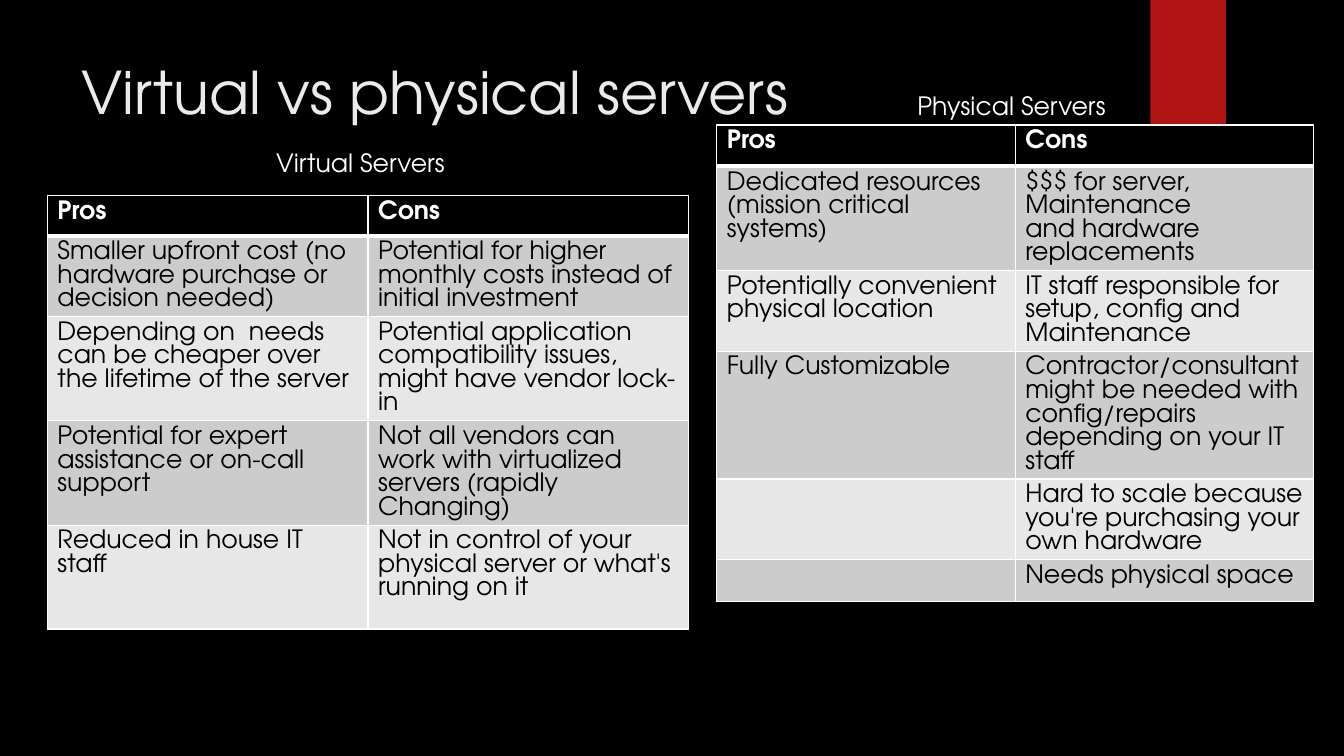
from dataclasses import dataclass

from lxml.etree import SubElement
from pptx import Presentation
from pptx.dml.color import RGBColor
from pptx.enum.shapes import MSO_SHAPE
from pptx.enum.text import MSO_ANCHOR
from pptx.oxml.ns import qn
from pptx.slide import Slide
from pptx.table import _Cell
from pptx.text.text import TextFrame
from pptx.util import Inches, Pt

FONT = "TeX Gyre Adventor"
BLACK, WHITE, RED, TITLE_GREY = "000000", "FFFFFF", "B01513", "EBEBEB"
BAND_FILLS = ("CCCCCC", "E7E7E7")


@dataclass
class Label:
    text: str
    left: float
    top: float
    width: float
    height: float
    size: int = 18
    color: str = WHITE


@dataclass
class Comparison:
    left: float
    top: float
    column_width: float
    row_heights: list[float]
    rows: list[tuple[str, str]]


LABELS = [
    Label("Virtual vs physical servers", 0.71, 0.5, 10.29, 1.53, 42, TITLE_GREY),
    Label("Physical Servers", 9, 0.85, 3, 0.4),
    Label("Virtual Servers", 2.64, 1.41, 3, 0.4),
]

COMPARISONS = [
    Comparison(0.47, 1.94, 3.18, [0.4, 0.71, 0.71, 0.71, 1.03], [
        ("Pros", "Cons"),
        ("Smaller upfront cost (no hardware purchase or decision needed)",
         "Potential for higher monthly costs instead of initial investment"),
        ("Depending on  needs can be cheaper over the lifetime of the server",
         "Potential application compatibility issues, might have vendor lock-in"),
        ("Potential for expert assistance or on-call support",
         "Not all vendors can work with virtualized servers (rapidly Changing)"),
        ("Reduced in house IT staff",
         "Not in control of your physical server or what's running on it"),
    ]),
    Comparison(7.11, 1.24, 2.96, [0.41, 0.71, 0.71, 0.71, 0.71, 0.41], [
        ("Pros", "Cons"),
        ("Dedicated resources (mission critical systems)",
         "$$$ for server, Maintenance\nand hardware replacements"),
        ("Potentially convenient physical location",
         "IT staff responsible for setup, config and Maintenance"),
        ("Fully Customizable",
         "Contractor/consultant might be needed with config/repairs depending on your IT staff"),
        ("", "Hard to scale because you're purchasing your own hardware"),
        ("", "Needs physical space"),
    ]),
]


def rgb(color: str) -> RGBColor:
    return RGBColor.from_string(color)


def write_text(text_frame: TextFrame, text: str, size: int, color: str,
               bold: bool = False) -> None:
    text_frame.text = text
    for paragraph in text_frame.paragraphs:
        for run in paragraph.runs:
            run.font.name = FONT
            run.font.size = Pt(size)
            run.font.bold = bold
            run.font.color.rgb = rgb(color)


def add_label(slide: Slide, label: Label) -> None:
    box = slide.shapes.add_textbox(Inches(label.left), Inches(label.top),
                                   Inches(label.width), Inches(label.height))
    box.text_frame.word_wrap = True
    box.text_frame.vertical_anchor = MSO_ANCHOR.TOP
    write_text(box.text_frame, label.text, label.size, label.color)


def add_borders(cell: _Cell, is_header: bool) -> None:
    widths = {"a:lnL": 1, "a:lnR": 1}
    if is_header:
        widths["a:lnT"] = 1
    widths["a:lnB"] = 3 if is_header else 1
    properties = cell._tc.get_or_add_tcPr()
    for tag, width in widths.items():
        line = SubElement(properties, qn(tag), w=str(Pt(width)))
        fill = SubElement(line, qn("a:solidFill"))
        SubElement(fill, qn("a:srgbClr"), val=WHITE)


def add_comparison(slide: Slide, comparison: Comparison) -> None:
    table = slide.shapes.add_table(
        len(comparison.rows), 2, Inches(comparison.left), Inches(comparison.top),
        Inches(2 * comparison.column_width), Inches(sum(comparison.row_heights))).table
    for column in table.columns:
        column.width = Inches(comparison.column_width)
    for row_index, texts in enumerate(comparison.rows):
        is_header = row_index == 0
        table.rows[row_index].height = Inches(comparison.row_heights[row_index])
        for column_index, text in enumerate(texts):
            cell = table.cell(row_index, column_index)
            write_text(cell.text_frame, text, 18, WHITE if is_header else BLACK, is_header)
            add_borders(cell, is_header)
            cell.fill.solid()
            cell.fill.fore_color.rgb = rgb(BLACK if is_header else BAND_FILLS[(row_index - 1) % 2])


def main() -> None:
    presentation = Presentation()
    presentation.slide_width = Inches(13.33)
    presentation.slide_height = Inches(7.5)
    slide = presentation.slides.add_slide(presentation.slide_layouts[6])
    slide.background.fill.solid()
    slide.background.fill.fore_color.rgb = rgb(BLACK)

    # Red bookmark at the top edge
    bookmark = slide.shapes.add_shape(MSO_SHAPE.RECTANGLE, Inches(11.41), Inches(0),
                                      Inches(0.75), Inches(1.25))
    bookmark.shadow.inherit = False
    bookmark.fill.solid()
    bookmark.fill.fore_color.rgb = rgb(RED)
    bookmark.line.fill.background()

    # Pros and cons tables
    for comparison in COMPARISONS:
        add_comparison(slide, comparison)

    # Title and table captions
    for label in LABELS:
        add_label(slide, label)

    presentation.save("out.pptx")


if __name__ == "__main__":
    main()
